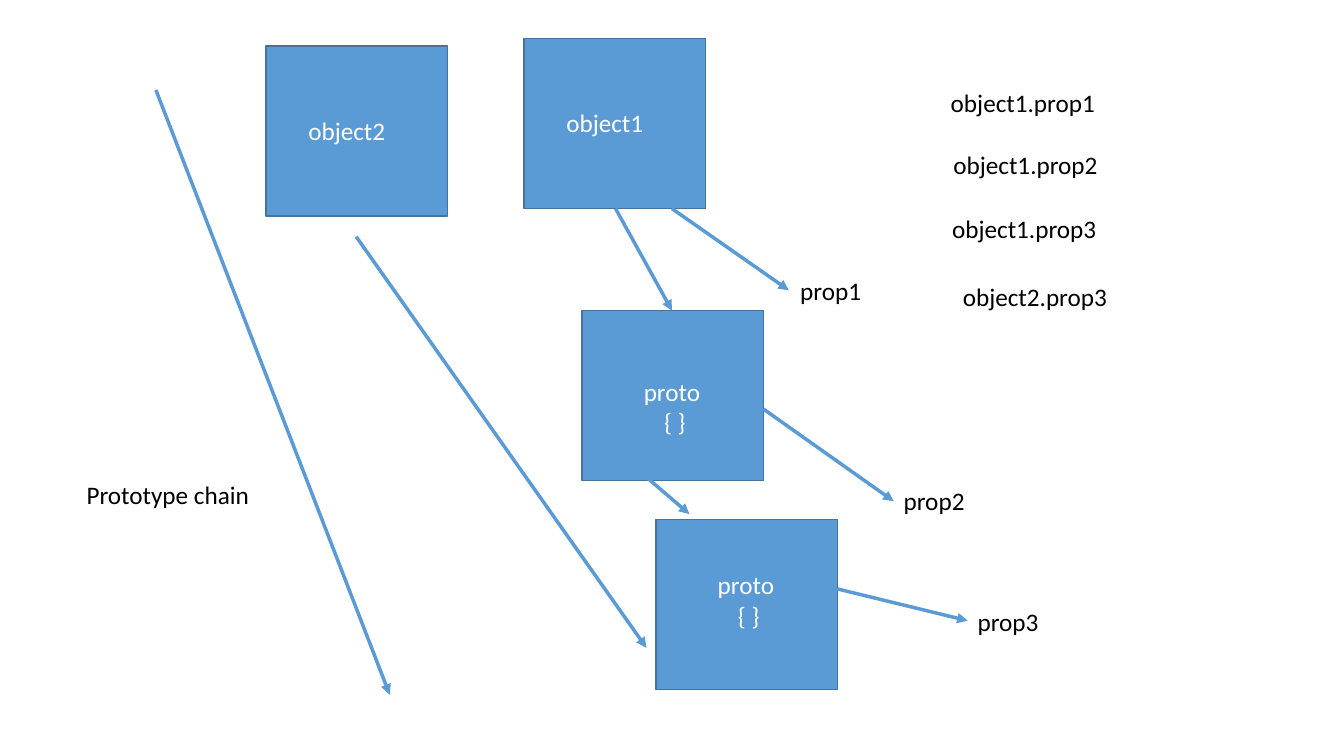
from lxml.etree import SubElement
from pptx import Presentation
from pptx.dml.color import RGBColor
from pptx.enum.shapes import MSO_CONNECTOR, MSO_SHAPE
from pptx.enum.text import MSO_AUTO_SIZE, PP_ALIGN
from pptx.oxml.ns import qn
from pptx.util import Inches, Pt

BLUE = RGBColor(0x5B, 0x9B, 0xD5)
EDGE = RGBColor(0x43, 0x73, 0x9E)
WHITE = RGBColor(0xFF, 0xFF, 0xFF)
BLACK = RGBColor(0, 0, 0)

deck = Presentation()
deck.slide_width, deck.slide_height = Inches(13.33), Inches(7.5)
slide = deck.slides.add_slide(deck.slide_layouts[6])
shapes = slide.shapes

# The grid has 100 columns and 100 rows
COL = deck.slide_width / 100
ROW = deck.slide_height / 100
BOX_W, BOX_H = 13.5, 22.5
INSET, NAME_W, LINE_H = 2.4, 8.6, 5.3


def place(*cells):
    """Turn column, row pairs into slide lengths."""
    return [int(n * (ROW if i % 2 else COL)) for i, n in enumerate(cells)]


def write(text, left, top, width, color, align=PP_ALIGN.LEFT):
    """Add a text box of one or more lines."""
    frame = shapes.add_textbox(*place(left, top, width, LINE_H)).text_frame
    frame.word_wrap = True
    frame.auto_size = MSO_AUTO_SIZE.SHAPE_TO_FIT_TEXT
    frame.text = text
    for line in frame.paragraphs:
        line.alignment = align
        font = line.runs[0].font
        font.name, font.size = "Calibri", Pt(18)
        font.color.rgb = color


# Objects: text, left, top, drop of the text inside the box, alignment
objects = [
    ("object1", 39.0, 5.1, 8.5, PP_ALIGN.LEFT),
    ("proto\n { }", 43.3, 41.1, 8.0, PP_ALIGN.CENTER),
    ("proto\n { }", 48.8, 68.7, 6.0, PP_ALIGN.CENTER),
    ("object2", 19.8, 6.1, 8.5, PP_ALIGN.LEFT),
]
for text, left, top, drop, align in objects:
    box = shapes.add_shape(MSO_SHAPE.RECTANGLE, *place(left, top, BOX_W, BOX_H))
    box.shadow.inherit = False
    box.fill.solid()
    box.fill.fore_color.rgb = BLUE
    box.line.color.rgb = EDGE
    box.line.width = Pt(1)
    write(text, left + INSET, top + drop, NAME_W, WHITE, align)

# Labels: text, left, top, width
labels = [
    ("prop1", 58.8, 35.7, NAME_W),
    ("prop2", 66.5, 63.6, NAME_W),
    ("prop3", 72.0, 79.5, NAME_W),
    ("object1.prop1", 70.0, 10.9, 16),
    ("object1.prop2", 70.2, 19.1, 16),
    ("object1.prop3", 70.1, 27.5, 16),
    ("object2.prop3", 70.9, 36.5, 16),
    ("Prototype chain", 5.7, 62.7, 16),
]
for text, left, top, width in labels:
    write(text, left, top, width, BLACK)

# Arrows: start column and row, end column and row
arrows = [
    (50.0, 27.6, 58.7, 38.4),  # object1 to prop1
    (45.8, 27.6, 50.0, 41.1),  # object1 to first proto
    (56.8, 54.1, 66.5, 66.3),  # first proto to prop2
    (62.3, 77.9, 72.0, 82.1),  # second proto to prop3
    (47.1, 61.6, 51.3, 68.0),  # first proto to second proto
    (11.6, 11.9, 29.0, 91.9),  # prototype chain
    (26.5, 31.3, 48.1, 85.7),  # object2 to second proto
]
for ends in arrows:
    arrow = shapes.add_connector(MSO_CONNECTOR.STRAIGHT, *place(*ends))
    arrow.line.color.rgb = BLUE
    arrow.line.width = Pt(2.5)
    SubElement(arrow.line._get_or_add_ln(), qn("a:tailEnd"), type="triangle")
    SubElement(arrow._element.spPr, qn("a:effectLst"))

deck.save("out.pptx")
